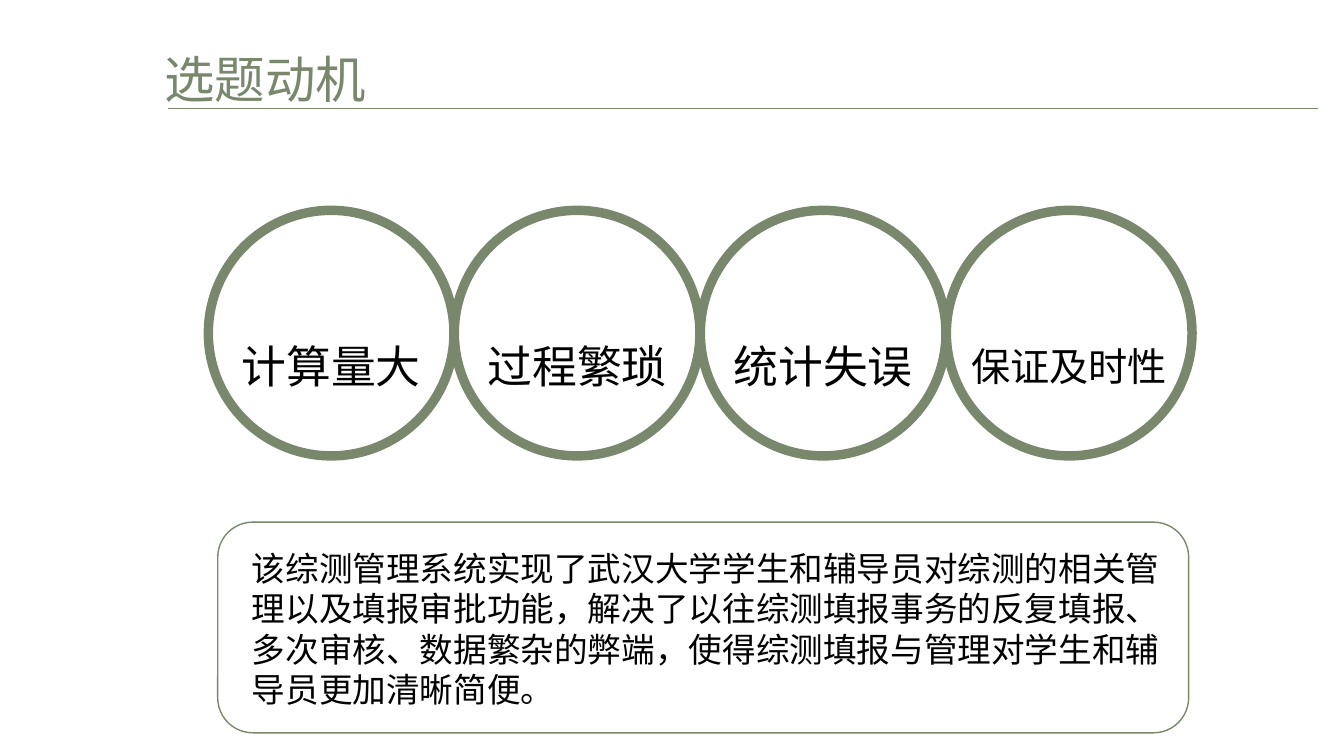
from dataclasses import dataclass

from lxml.etree import SubElement
from pptx import Presentation
from pptx.dml.color import RGBColor
from pptx.enum.shapes import MSO_CONNECTOR, MSO_SHAPE
from pptx.enum.text import MSO_ANCHOR, PP_ALIGN
from pptx.oxml.ns import qn
from pptx.util import Inches, Pt


@dataclass(frozen=True)
class Theme:
    font: str = "Noto Sans CJK SC"
    accent: RGBColor = RGBColor(0x79, 0x88, 0x6C)
    text: RGBColor = RGBColor(0, 0, 0)
    title_size: int = 36
    label_size: int = 32
    long_label_size: int = 28
    body_size: int = 24
    body_spacing: int = 29


THEME = Theme()
MOTIVES = ("计算量大", "过程繁琐", "统计失误", "保证及时性")
SUMMARY = (
    "该综测管理系统实现了武汉大学学生和辅导员对综测的相关管理以及填报审批功能，"
    "解决了以往综测填报事务的反复填报、多次审核、数据繁杂的弊端，"
    "使得综测填报与管理对学生和辅导员更加清晰简便。"
)


def add_text(slide, text, left, top, width, height, *, size, color=THEME.text,
             align=PP_ALIGN.LEFT, anchor=MSO_ANCHOR.MIDDLE, spacing=None):
    box = slide.shapes.add_textbox(Inches(left), Inches(top), Inches(width), Inches(height))
    frame = box.text_frame
    frame.word_wrap = True
    frame.vertical_anchor = anchor
    paragraph = frame.paragraphs[0]
    paragraph.alignment = align
    if spacing:
        paragraph.line_spacing = Pt(spacing)
    run = paragraph.add_run()
    run.text = text
    run.font.size = Pt(size)
    run.font.color.rgb = color
    run.font.name = THEME.font
    east_asian = SubElement(run.font._element, qn("a:ea"))
    east_asian.set("typeface", THEME.font)


def add_title(slide, text, left, top, width):
    """Title with a thin rule below it that reaches across the full width."""
    add_text(slide, text, left, top, 4.55, 0.95, size=THEME.title_size, color=THEME.accent)
    rule_y = Inches(top + 0.78)
    rule = slide.shapes.add_connector(
        MSO_CONNECTOR.STRAIGHT, Inches(left + 0.14), rule_y, Inches(left + width), rule_y)
    rule.line.color.rgb = THEME.accent
    rule.line.width = Pt(0.5)
    SubElement(rule._element.spPr, qn("a:effectLst"))


def add_motive_rings(slide, motives, left, top, diameter, pitch):
    """Row of touching rings, each with a label just below its centre."""
    for index, motive in enumerate(motives):
        ring_left = left + index * pitch
        size = THEME.label_size if len(motive) <= 4 else THEME.long_label_size
        add_text(slide, motive, ring_left + 0.08, top + diameter / 2, diameter - 0.16, 0.64,
                 size=size, align=PP_ALIGN.CENTER)
        ring = slide.shapes.add_shape(
            MSO_SHAPE.DONUT, Inches(ring_left), Inches(top), Inches(diameter), Inches(diameter))
        ring.adjustments[0] = 0.037
        ring.shadow.inherit = False
        ring.fill.solid()
        ring.fill.fore_color.rgb = THEME.accent
        ring.line.fill.background()


def add_summary(slide, text, left, top, width, height):
    """Paragraph inside a rounded outline."""
    add_text(slide, text, left + 0.24, top + 0.2, 9.24, 2.12, size=THEME.body_size,
             anchor=MSO_ANCHOR.TOP, spacing=THEME.body_spacing)
    outline = slide.shapes.add_shape(
        MSO_SHAPE.ROUNDED_RECTANGLE, Inches(left), Inches(top), Inches(width), Inches(height))
    outline.shadow.inherit = False
    outline.fill.background()
    outline.line.color.rgb = THEME.accent
    outline.line.width = Pt(1)


def main():
    presentation = Presentation()
    presentation.slide_width = Inches(13.33)
    presentation.slide_height = Inches(7.5)
    slide = presentation.slides.add_slide(presentation.slide_layouts[6])
    add_motive_rings(slide, MOTIVES, left=2.02, top=2.04, diameter=2.53, pitch=2.44)
    add_title(slide, "选题动机", left=1.53, top=0.3, width=11.54)
    add_summary(slide, SUMMARY, left=2.16, top=5.18, width=9.63, height=2.09)
    presentation.save("out.pptx")


if __name__ == "__main__":
    main()
